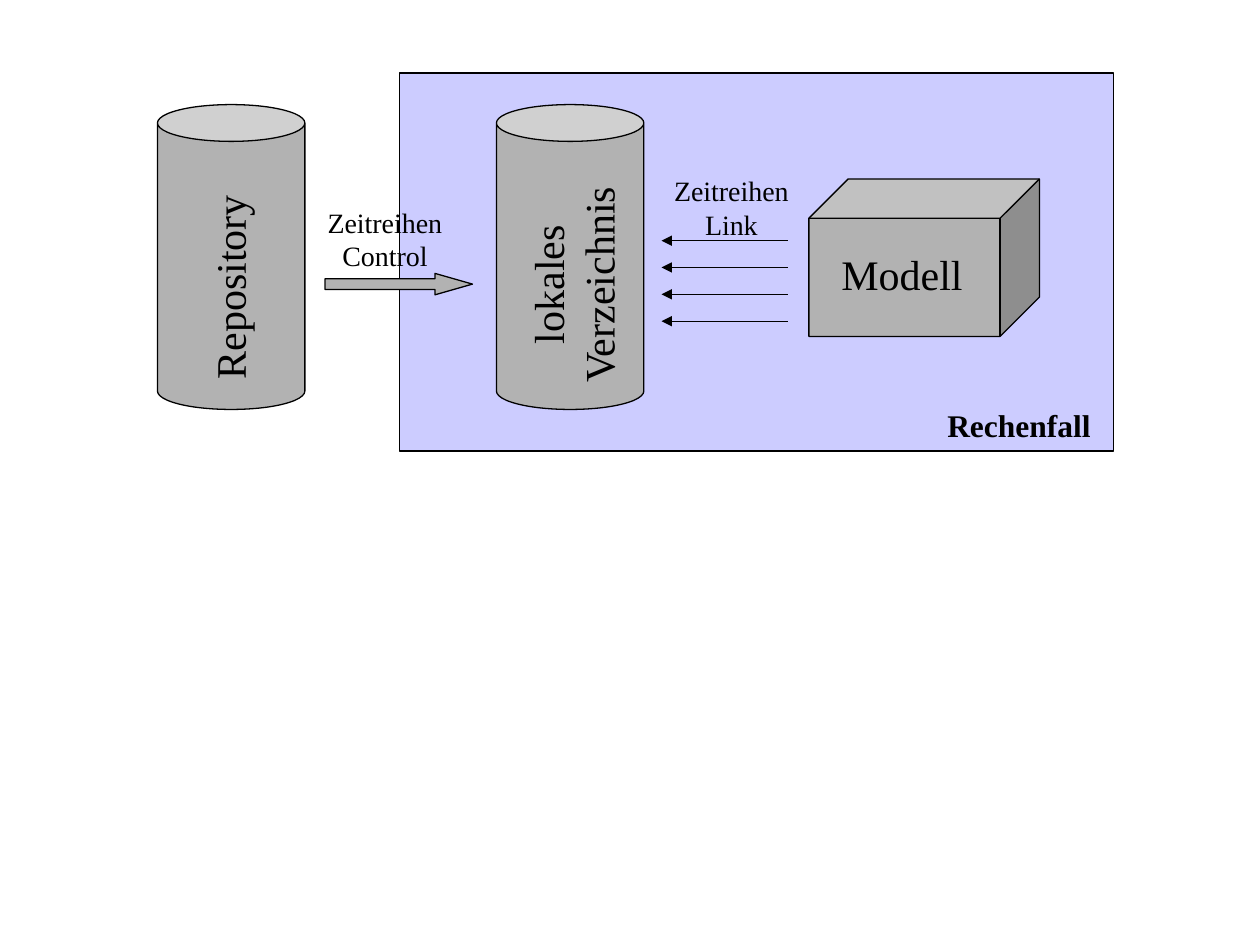
from pptx import Presentation
from pptx import util as u
from pptx.dml.color import RGBColor
from pptx.enum import shapes, text
from pptx.oxml.ns import qn
from lxml import etree

COLORS = {"case": "CCCCFF", "body": "B2B2B2", "ink": "000000"}
FONT = "Times New Roman"
LINE_WIDTH = u.Pt(0.75)
SHAPE = shapes.MSO_SHAPE


def color(name):
    return RGBColor.from_string(COLORS[name])


def add_box(s, kind, box, fill="body", adjustments=()):
    sp = s.shapes.add_shape(kind, *map(u.Inches, box))
    sp.shadow.inherit = False
    sp.fill.solid()
    sp.fill.fore_color.rgb = color(fill)
    sp.line.color.rgb = color("ink")
    sp.line.width = LINE_WIDTH
    for i, value in enumerate(adjustments):
        sp.adjustments[i] = value
    return sp


def add_label(s, lines, box, size, align=text.PP_ALIGN.CENTER, rotation=0, bold=False):
    sp = s.shapes.add_textbox(*map(u.Inches, box))
    sp.rotation = rotation
    tf = sp.text_frame
    tf.word_wrap = False
    tf.auto_size = text.MSO_AUTO_SIZE.SHAPE_TO_FIT_TEXT
    for i, line in enumerate(lines):
        p = tf.add_paragraph() if i else tf.paragraphs[0]
        p.alignment = align
        r = p.add_run()
        r.text = line
        r.font.name = FONT
        r.font.size = u.Pt(size)
        r.font.bold = bold
        r.font.color.rgb = color("ink")
    return sp


def add_arrow(s, x1, x2, y):
    c = s.shapes.add_connector(shapes.MSO_CONNECTOR.STRAIGHT,
                               *map(u.Inches, (x1, y, x2, y)))
    c.line.color.rgb = color("ink")
    c.line.width = LINE_WIDTH
    etree.SubElement(c.line._get_or_add_ln(), qn("a:tailEnd"), type="triangle")
    etree.SubElement(c._element.spPr, qn("a:effectLst"))
    return c


def main():
    prs = Presentation()
    prs.slide_width, prs.slide_height = u.Inches(10), u.Inches(7.5)
    s = prs.slides.add_slide(prs.slide_layouts[6])
    left = text.PP_ALIGN.LEFT

    # Calculation case
    add_box(s, SHAPE.RECTANGLE, (3.17, 0.58, 5.67, 3), "case")

    # Repository and transfer to the local directory
    add_box(s, SHAPE.CAN, (1.25, 0.83, 1.17, 2.42), adjustments=[0.25])
    add_box(s, SHAPE.RIGHT_ARROW, (2.58, 2.17, 1.17, 0.17), adjustments=[0.5, 1.75])
    add_label(s, ["Repository"], (0.99, 2.03, 1.66, 0.5), 24, left, rotation=270)
    add_label(s, ["Zeitreihen", "Control"], (2.5, 1.58, 1.11, 0.64), 16)

    # Local directory
    add_box(s, SHAPE.CAN, (3.94, 0.83, 1.17, 2.42), adjustments=[0.25])
    add_label(s, ["lokales", "Verzeichnis"], (3.65, 1.81, 1.79, 0.9), 24, rotation=270)

    # Model
    add_box(s, SHAPE.CUBE, (6.42, 1.42, 1.83, 1.25), adjustments=[0.25])
    add_label(s, ["Modell"], (6.58, 1.92, 1.16, 0.5), 24, left)

    # Links from the model to the directory
    for i in range(4):
        add_arrow(s, 6.25, 5.25, 1.91 + i * 0.213)
    add_label(s, ["Zeitreihen", "Link"], (5.25, 1.33, 1.11, 0.64), 16)

    # Case name
    add_label(s, ["Rechenfall"], (7.42, 3.17, 1.34, 0.4), 18, left, bold=True)

    prs.save("out.pptx")


if __name__ == "__main__":
    main()
